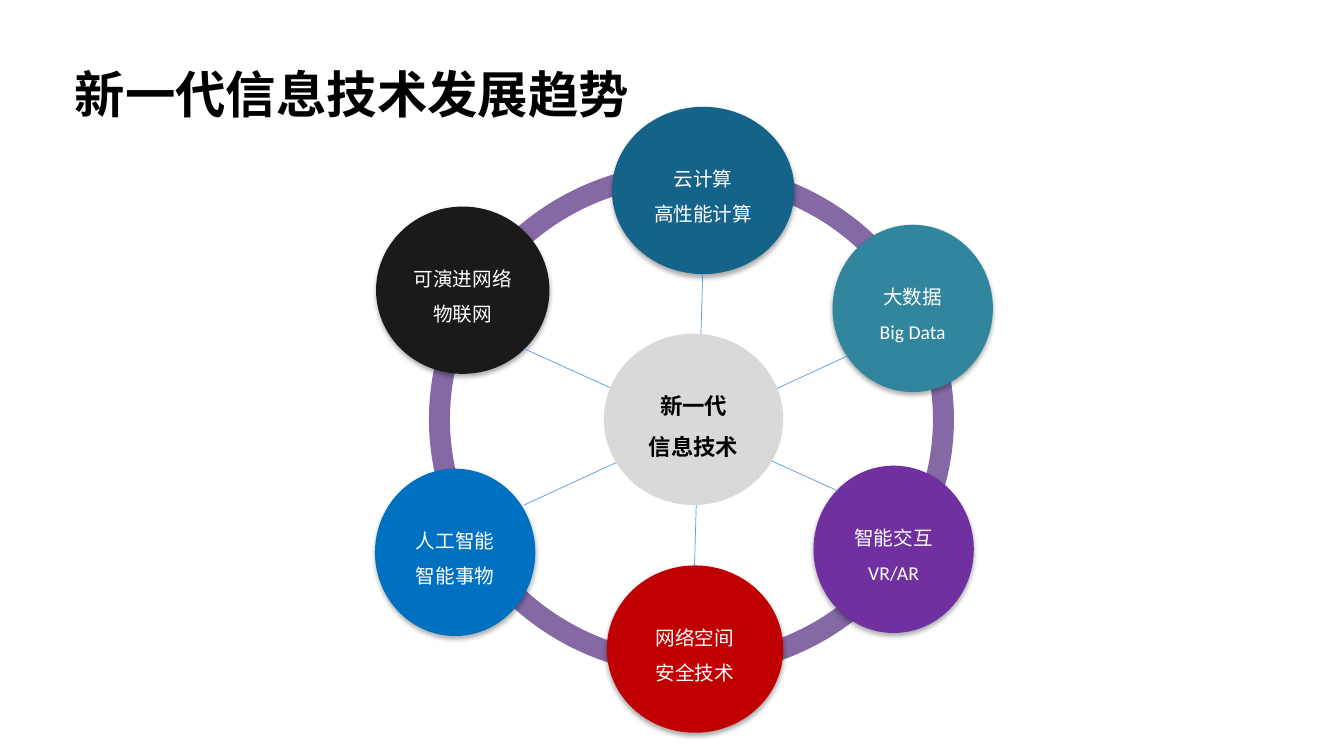
from dataclasses import dataclass

import pptx
import pptx.dml.color
import pptx.enum.shapes
import pptx.enum.text
import pptx.oxml
import pptx.oxml.ns
import pptx.util
from pptx.dml.color import RGBColor

WHITE = RGBColor(0xFF, 0xFF, 0xFF)
BLACK = RGBColor(0x00, 0x00, 0x00)
RING_PURPLE = RGBColor(0x84, 0x69, 0xA5)
SPOKE_BLUE = RGBColor(0x60, 0x96, 0xE6)
HUB_GRAY = RGBColor(0xD9, 0xD9, 0xD9)
NAVY = RGBColor(0x15, 0x63, 0x89)
VIOLET = RGBColor(0x70, 0x30, 0xA0)
TEAL = RGBColor(0x31, 0x85, 0x9C)
CHARCOAL = RGBColor(0x1A, 0x1A, 0x1A)
RED = RGBColor(0xC0, 0x00, 0x00)
BLUE = RGBColor(0x00, 0x70, 0xC0)

SLIDE_WIDTH = pptx.util.Inches(13.333)
SLIDE_HEIGHT = pptx.util.Inches(7.5)
TOPIC_HEIGHT = 22.13
LINE_SPACING = 1.5

TOPIC_FONT = {"name": "Calibri", "size": pptx.util.Pt(14), "bold": False}
HUB_FONT = {"name": "Calibri", "size": pptx.util.Pt(16), "bold": True}
TITLE_FONT = {"name": "Noto Sans CJK SC", "size": pptx.util.Pt(36), "bold": True}


# Places and sizes are percentages of the slide's width and height
@dataclass(frozen=True)
class Box:
    left: float
    top: float
    width: float
    height: float = TOPIC_HEIGHT

    def lengths(self) -> tuple[int, int, int, int]:
        return (across(self.left), down(self.top),
                across(self.width), down(self.height))


@dataclass(frozen=True)
class Topic:
    lines: tuple[str, str]
    box: Box
    fill: RGBColor


@dataclass(frozen=True)
class Spoke:
    start: tuple[float, float]
    end: tuple[float, float]


TITLE_BOX = Box(4.8, 4.4, 43.2, 12)
RING_BOX = Box(32.7, 22.93, 37.5, 65.07)
HUB = Topic(("新一代", "信息技术"), Box(44.93, 44.13, 13.35, 22.67), HUB_GRAY)
TOPICS = (
    Topic(("云计算", "高性能计算"), Box(45.53, 14.13, 13.58), NAVY),
    Topic(("智能交互", "VR/AR"), Box(60.53, 61.6, 11.93), VIOLET),
    Topic(("大数据", "Big Data"), Box(61.95, 29.73, 11.93), TEAL),
    Topic(("可演进网络", "物联网"), Box(27.98, 27.33, 12.9), CHARCOAL),
    Topic(("网络空间", "安全技术"), Box(45.15, 74.8, 13.13), RED),
    Topic(("人工智能", "智能事物"), Box(27.9, 62, 11.93), BLUE),
)
SPOKES = (
    Spoke((52.28, 36.27), (51.68, 74.8)),
    Spoke((39, 46.13), (62.33, 64.93)),
    Spoke((63.08, 47.07), (39, 66.8)),
)


def across(percent: float) -> int:
    return round(SLIDE_WIDTH * percent / 100)


def down(percent: float) -> int:
    return round(SLIDE_HEIGHT * percent / 100)


def add_effects(shape, content: str = "") -> None:
    namespace = pptx.oxml.ns.nsdecls("a")
    effects = pptx.oxml.parse_xml(f"<a:effectLst {namespace}>{content}</a:effectLst>")
    shape._element.spPr.append(effects)


def add_shadow(shape) -> None:
    blur, distance = pptx.util.Pt(3.5), pptx.util.Pt(2.2)
    add_effects(shape, f'<a:outerShdw blurRad="{blur}" dist="{distance}" '
                       'dir="5400000" rotWithShape="0"><a:srgbClr val="000000">'
                       '<a:alpha val="32000"/></a:srgbClr></a:outerShdw>')


def write_line(paragraph, text: str, font_format: dict, color: RGBColor) -> None:
    paragraph.line_spacing = LINE_SPACING
    run = paragraph.add_run()
    run.text = text
    for attribute, value in font_format.items():
        setattr(run.font, attribute, value)
    run.font.color.rgb = color
    # Chinese characters take the same typeface
    namespace = pptx.oxml.ns.nsdecls("a")
    run.font._element.append(pptx.oxml.parse_xml(
        f'<a:ea {namespace} typeface="{font_format["name"]}"/>'))


def add_ellipse(slide, box: Box, fill: RGBColor):
    shape = slide.shapes.add_shape(
        pptx.enum.shapes.MSO_SHAPE.OVAL, *box.lengths())
    shape.fill.solid()
    shape.fill.fore_color.rgb = fill
    shape.line.fill.background()
    return shape


def add_topic(slide, topic: Topic, font_format: dict, color: RGBColor):
    shape = add_ellipse(slide, topic.box, topic.fill)
    frame = shape.text_frame
    frame.vertical_anchor = pptx.enum.text.MSO_ANCHOR.MIDDLE
    for index, text in enumerate(topic.lines):
        paragraph = frame.add_paragraph() if index else frame.paragraphs[0]
        paragraph.alignment = pptx.enum.text.PP_ALIGN.CENTER
        write_line(paragraph, text, font_format, color)
    return shape


def add_spoke(slide, spoke: Spoke) -> None:
    connector = slide.shapes.add_connector(
        pptx.enum.shapes.MSO_CONNECTOR.STRAIGHT,
        across(spoke.start[0]), down(spoke.start[1]),
        across(spoke.end[0]), down(spoke.end[1]))
    connector.line.color.rgb = SPOKE_BLUE
    connector.line.width = pptx.util.Pt(0.5)
    add_effects(connector)


def add_title(slide, text: str) -> None:
    title = slide.shapes.title
    title.left, title.top, title.width, title.height = TITLE_BOX.lengths()
    frame = title.text_frame
    frame.word_wrap = False
    frame.auto_size = pptx.enum.text.MSO_AUTO_SIZE.NONE
    frame.vertical_anchor = pptx.enum.text.MSO_ANCHOR.MIDDLE
    paragraph = frame.paragraphs[0]
    paragraph.alignment = pptx.enum.text.PP_ALIGN.LEFT
    write_line(paragraph, text, TITLE_FONT, BLACK)


def main() -> None:
    presentation = pptx.Presentation()
    presentation.slide_width = SLIDE_WIDTH
    presentation.slide_height = SLIDE_HEIGHT
    slide = presentation.slides.add_slide(presentation.slide_layouts[5])

    # Ring behind the topics
    ring = add_ellipse(slide, RING_BOX, WHITE)
    ring.line.color.rgb = RING_PURPLE
    ring.line.width = pptx.util.Pt(15)
    ring.shadow.inherit = False

    # Topics around the ring
    for topic in TOPICS:
        add_shadow(add_topic(slide, topic, TOPIC_FONT, WHITE))

    # Spokes run under the hub
    for spoke in SPOKES:
        add_spoke(slide, spoke)
    hub = add_topic(slide, HUB, HUB_FONT, BLACK)
    hub.shadow.inherit = False

    add_title(slide, "新一代信息技术发展趋势")
    presentation.save("out.pptx")


if __name__ == "__main__":
    main()
